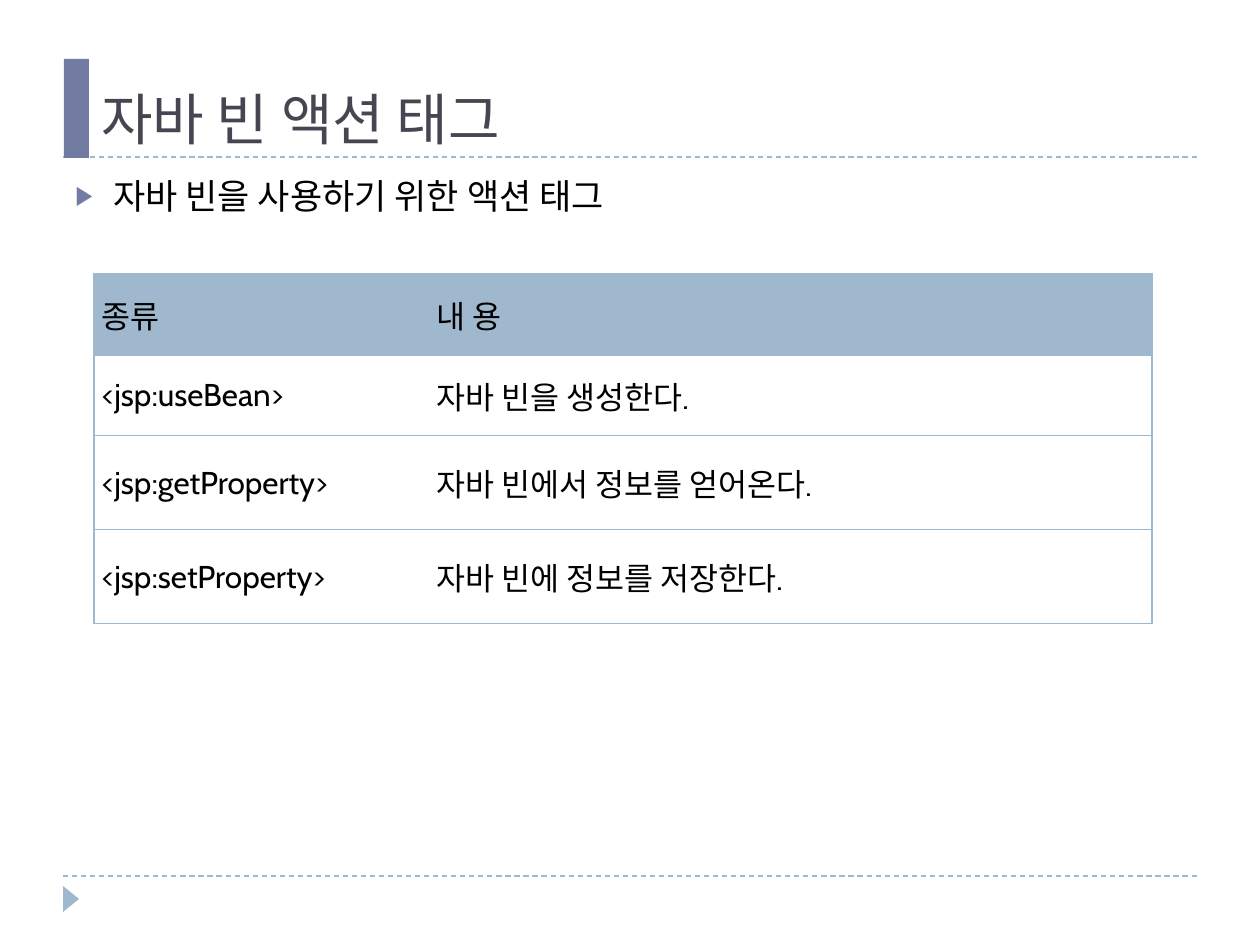
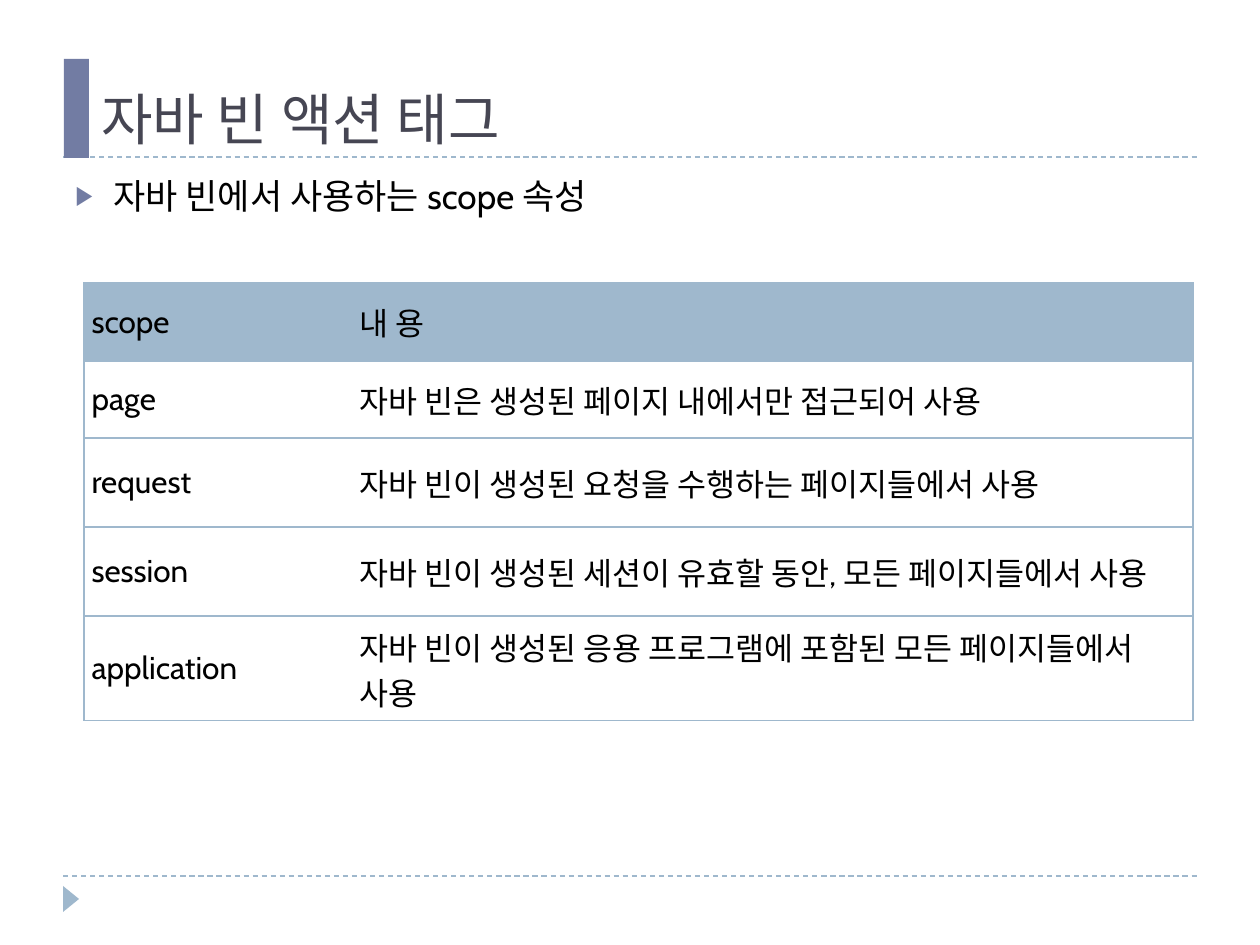
"""Build two slides on the JavaBean action tags and their scope attribute."""
import pptx
import pptx.util
import pptx.dml.color
import pptx.enum.dml
import pptx.enum.shapes
import pptx.enum.text
import pptx.oxml.ns
import lxml.etree

TITLE = "자바 빈 액션 태그"
SLIDES = [
    {
        "topic": "자바 빈을 사용하기 위한 액션 태그",
        "origin": (94, 274),
        "columns": (335, 723),
        "rows": (81, 81, 94, 94),
        "cells": [
            ("종류", "내 용"),
            ("<jsp:useBean>", "자바 빈을 생성한다."),
            ("<jsp:getProperty>", "자바 빈에서 정보를 얻어온다."),
            ("<jsp:setProperty>", "자바 빈에 정보를 저장한다."),
        ],
    },
    {
        "topic": "자바 빈에서 사용하는 scope 속성",
        "origin": (84, 283),
        "columns": (268, 841),
        "rows": (78, 77, 89, 89, 105),
        "cells": [
            ("scope", "내 용"),
            ("page", "자바 빈은 생성된 페이지 내에서만 접근되어 사용"),
            ("request", "자바 빈이 생성된 요청을 수행하는 페이지들에서 사용"),
            ("session", "자바 빈이 생성된 세션이 유효할 동안, 모든 페이지들에서 사용"),
            ("application", "자바 빈이 생성된 응용 프로그램에 포함된 모든 페이지들에서 사용"),
        ],
    },
]

PALE_BLUE = pptx.dml.color.RGBColor(0x9F, 0xB8, 0xCD)
INDIGO = pptx.dml.color.RGBColor(0x72, 0x7C, 0xA3)
SLATE = pptx.dml.color.RGBColor(0x46, 0x46, 0x53)
BLACK = pptx.dml.color.RGBColor(0, 0, 0)

TITLE_FONT = {"name": "Arial", "size": pptx.util.Pt(32), "color": SLATE}
TOPIC_FONT = {"name": "Cabin", "size": pptx.util.Pt(20), "color": BLACK}
CELL_FONT = {"name": "Cabin", "size": pptx.util.Pt(18), "color": BLACK}
RULE_WIDTH = pptx.util.Pt(0.75)
RULE_SPAN = (63, 1197)
RULE_HEIGHTS = (876, 157)
SHAPE = pptx.enum.shapes.MSO_SHAPE
ANCHOR = pptx.enum.text.MSO_ANCHOR


def px(*lengths):
    return [pptx.util.Emu(round(length * 914400 / 126)) for length in lengths]


def add_xml(parent, tag, **attributes):
    return lxml.etree.SubElement(parent, pptx.oxml.ns.qn(tag), attributes)


def write(frame, text, font_values):
    paragraph = frame.paragraphs[0]
    run = paragraph.add_run()
    run.text = text
    for key, value in font_values.items():
        if key == "color":
            run.font.color.rgb = value
        else:
            setattr(run.font, key, value)
    return paragraph


def add_text(slide, box, text, font_values, anchor):
    frame = slide.shapes.add_textbox(*px(*box)).text_frame
    frame.word_wrap = True
    frame.vertical_anchor = anchor
    return write(frame, text, font_values)


def add_solid(slide, preset, box, color, rotation=0):
    solid = slide.shapes.add_shape(preset, *px(*box))
    solid.shadow.inherit = False
    solid.fill.solid()
    solid.fill.fore_color.rgb = color
    solid.line.fill.background()
    solid.rotation = rotation


def add_frame(slide):
    left, right = RULE_SPAN
    for y in RULE_HEIGHTS:
        rule = slide.shapes.add_connector(
            pptx.enum.shapes.MSO_CONNECTOR.STRAIGHT, *px(left, y, right, y))
        rule.line.color.rgb = PALE_BLUE
        rule.line.width = RULE_WIDTH
        rule.line.dash_style = pptx.enum.dml.MSO_LINE.DASH
        add_xml(rule.element.spPr, "a:effectLst")
    add_solid(slide, SHAPE.ISOSCELES_TRIANGLE, (58, 891, 26, 16), PALE_BLUE, 90)
    add_solid(slide, SHAPE.RECTANGLE, (64, 59, 25, 99), INDIGO)
    add_text(slide, (89, 59, 1108, 99), TITLE, TITLE_FONT, ANCHOR.BOTTOM)


def add_topic(slide, text):
    topic = add_text(slide, (63, 168, 1134, 680), text, TOPIC_FONT, ANCHOR.TOP)
    topic.space_before = pptx.util.Pt(6)
    indent, = px(38)
    properties = topic._p.get_or_add_pPr()
    properties.set("marL", str(indent))
    properties.set("indent", str(-indent))
    add_xml(add_xml(properties, "a:buClr"), "a:srgbClr", val=str(INDIGO))
    add_xml(properties, "a:buSzPct", val="76000")
    add_xml(properties, "a:buFont", typeface="Arial")
    add_xml(properties, "a:buChar", char="▶")


def set_borders(cell, visible):
    properties = cell._tc.get_or_add_tcPr()
    for position, side in enumerate("LRTB"):
        border = lxml.etree.Element(
            pptx.oxml.ns.qn("a:ln" + side), w=str(RULE_WIDTH))
        if side in visible:
            add_xml(add_xml(border, "a:solidFill"), "a:srgbClr", val=str(PALE_BLUE))
        else:
            add_xml(border, "a:noFill")
        properties.insert(position, border)


def add_grid(slide, content):
    columns, rows = content["columns"], content["rows"]
    grid = slide.shapes.add_table(
        len(rows), len(columns),
        *px(*content["origin"], sum(columns), sum(rows))).table
    grid.first_row = grid.horz_banding = False
    for column, width in zip(grid.columns, px(*columns)):
        column.width = width
    for row, height in zip(grid.rows, px(*rows)):
        row.height = height
    inset = pptx.util.Inches(0.06)
    cell_format = {"vertical_anchor": ANCHOR.MIDDLE, "margin_left": inset,
                   "margin_right": inset, "margin_top": inset,
                   "margin_bottom": inset}
    for r, texts in enumerate(content["cells"]):
        for c, text in enumerate(texts):
            cell = grid.cell(r, c)
            for key, value in cell_format.items():
                setattr(cell, key, value)
            if r == 0:
                cell.fill.solid()
                cell.fill.fore_color.rgb = PALE_BLUE
            else:
                cell.fill.background()
            set_borders(cell, "TBL" if c == 0 else "TBR")
            write(cell.text_frame, text, CELL_FONT)


deck = pptx.Presentation()
deck.slide_width, deck.slide_height = px(1260, 945)
for content in SLIDES:
    slide = deck.slides.add_slide(deck.slide_layouts[6])
    add_frame(slide)
    add_topic(slide, content["topic"])
    add_grid(slide, content)
deck.save("out.pptx")
